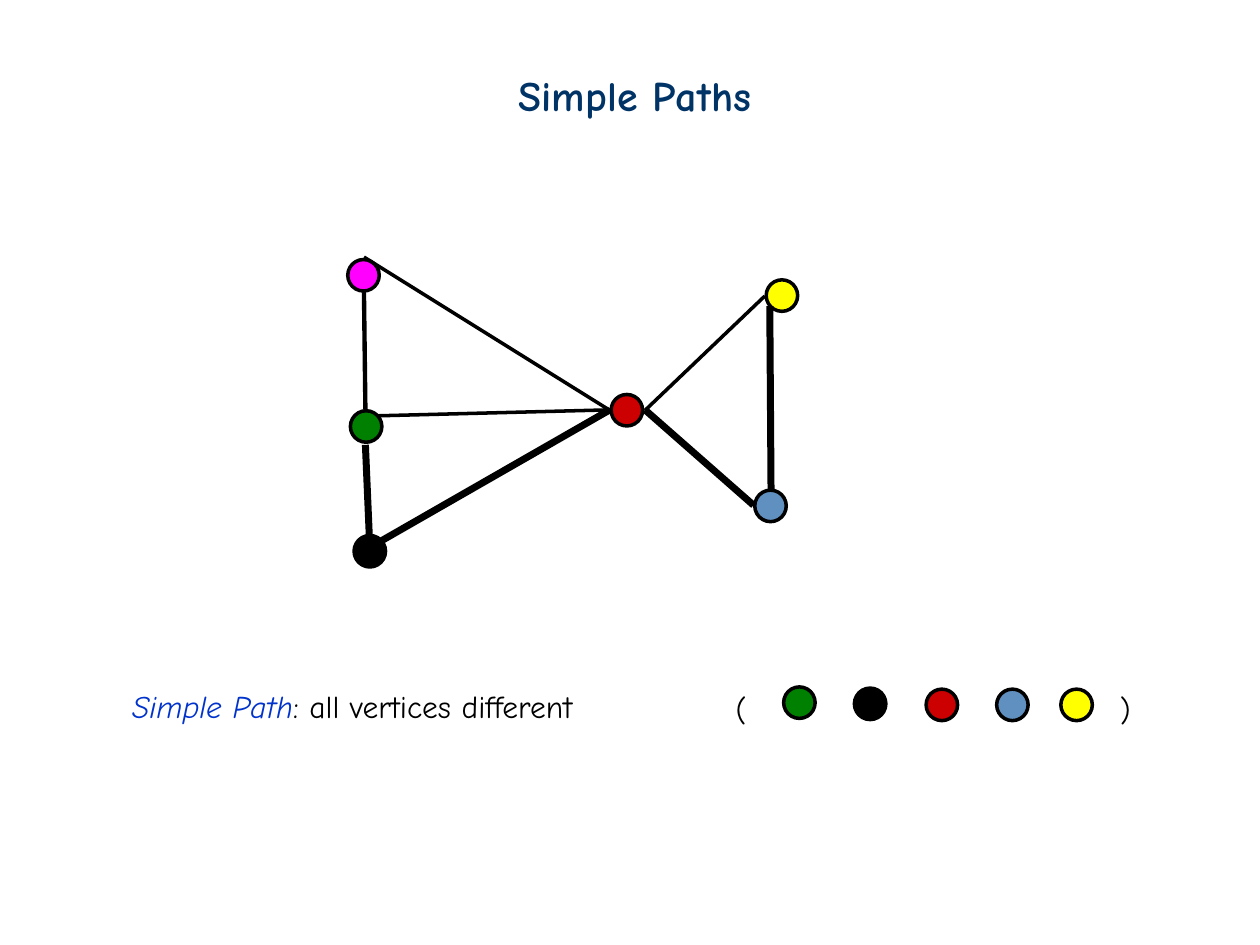
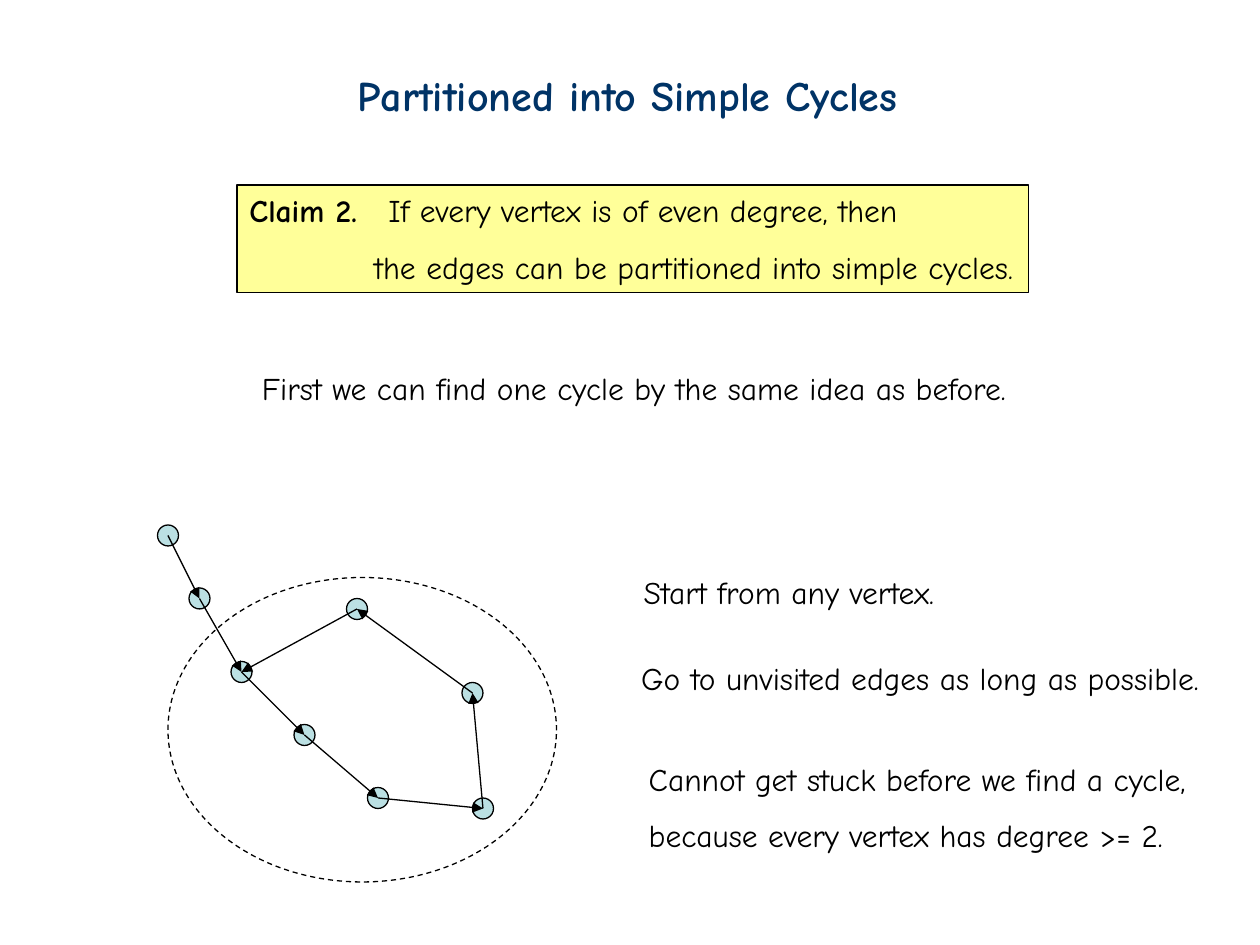
import pptx
import pptx.dml.color
import pptx.enum.dml
import pptx.enum.shapes
import pptx.enum.text
import pptx.oxml.ns
import pptx.util
from lxml import etree
from itertools import pairwise

Pt = pptx.util.Pt
qn = pptx.oxml.ns.qn
FONT = "Comic Neue"
COLORS = {
    "title": "003366", "term": "0033CC", "ink": "000000", "claim": "FFFF99",
    "vertex": "BBE0E3", "black": "000000", "red": "CC0000", "blue": "6090BF",
    "yellow": "FFFF00", "green": "008000", "magenta": "FF00FF",
}

GRAPH_VERTICES = {
    "yellow": (446.8, 168.9), "blue": (440.3, 289.1), "green": (209.2, 243.7),
    "magenta": (207.7, 157.3), "black": (211.3, 315), "red": (358.2, 234.4),
}
GRAPH_EDGES = [
    ((208.8, 254.2), (211, 305.3), 4),
    ((439.9, 175), (440.6, 279.4), 4),
    ((437, 169.2), (368.6, 234.5), 2),
    ((368.6, 234.2), (430.6, 288.7), 4),
    ((348.5, 234.2), (218.2, 308.9), 4),
    ((348.5, 234.5), (208, 146.9), 2),
    ((216, 237.6), (348.5, 234.2), 2),
    ((208, 167), (208.8, 234), 2.5),
]
PATH_VERTICES = {
    "green": (456.8, 401.5), "black": (497.2, 402.2), "red": (538.2, 402.8),
    "blue": (578.5, 402.8), "yellow": (615.2, 402.8),
}
WALK_VERTICES = [(96, 306), (114, 342), (138, 384), (174, 420),
                 (216, 456), (276, 462), (270, 396), (204, 348)]
CYCLE_START = 2


def rgb(name):
    return pptx.dml.color.RGBColor.from_string(COLORS[name])


def add_run(p, text, size=18, color="ink", bold=False, italic=False):
    r = p.add_run()
    r.text = text
    r.font.name = FONT
    r.font.size = Pt(size)
    r.font.color.rgb = rgb(color)
    r.font.bold = bold
    r.font.italic = italic


def add_box(s, x, y, w, h, wrap=False):
    sp = s.shapes.add_textbox(Pt(x), Pt(y), Pt(w), Pt(h))
    tf = sp.text_frame
    tf.word_wrap = wrap
    sizes = pptx.enum.text.MSO_AUTO_SIZE
    tf.auto_size = sizes.NONE if wrap else sizes.SHAPE_TO_FIT_TEXT
    return sp


def add_text(s, x, y, w, *lines):
    tf = add_box(s, x, y, w, 28.8 + 32.4 * (len(lines) - 1)).text_frame
    for i, line in enumerate(lines):
        p = tf.add_paragraph() if i else tf.paragraphs[0]
        if i:
            p.line_spacing = 1.5
        add_run(p, line)


def add_title(s, x, w, text):
    p = add_box(s, x, 36, w, 36).text_frame.paragraphs[0]
    add_run(p, text, 24, "title", bold=True)


def add_ellipse(s, center, w, h, fill, weight):
    x, y = center
    sp = s.shapes.add_shape(pptx.enum.shapes.MSO_SHAPE.OVAL,
                            Pt(x - w / 2), Pt(y - h / 2), Pt(w), Pt(h))
    sp.shadow.inherit = False
    if fill:
        sp.fill.solid()
        sp.fill.fore_color.rgb = rgb(fill)
    else:
        sp.fill.background()
    sp.line.color.rgb = rgb("ink")
    sp.line.width = Pt(weight)
    return sp


def add_edge(s, start, end, weight, arrow=False):
    sp = s.shapes.add_connector(pptx.enum.shapes.MSO_CONNECTOR.STRAIGHT,
                                *map(Pt, start + end))
    sp.line.color.rgb = rgb("ink")
    sp.line.width = Pt(weight)
    if arrow:
        etree.SubElement(sp.line._get_or_add_ln(), qn("a:tailEnd"), type="triangle")
    etree.SubElement(sp._element.spPr, qn("a:effectLst"))


def add_claim(s):
    sp = add_box(s, 135.4, 105.8, 452.2, 61.2, wrap=True)
    sp.fill.solid()
    sp.fill.fore_color.rgb = rgb("claim")
    sp.line.color.rgb = rgb("ink")
    sp.line.width = Pt(0.75)
    tf = sp.text_frame
    tf.margin_right = 0
    p = tf.paragraphs[0]
    tabs = etree.SubElement(p._p.get_or_add_pPr(), qn("a:tabLst"))
    etree.SubElement(tabs, qn("a:tab"), pos=str(Pt(79.4)), algn="l")
    add_run(p, "Claim 2.", bold=True)
    add_run(p, "\tIf every vertex is of even degree, then")
    p = tf.add_paragraph()
    p.line_spacing = 1.5
    pPr = p._p.get_or_add_pPr()
    pPr.set("marL", str(Pt(71.3)))
    pPr.set("indent", "0")
    add_run(p, "the edges can be partitioned into simple cycles.")


def simple_paths(s):
    p = add_box(s, 68.4, 388.8, 309.6, 37.4, wrap=True).text_frame.paragraphs[0]
    add_run(p, "Simple Path", color="term", italic=True)
    add_run(p, ": all vertices different")
    add_text(s, 413.3, 391, 20.2, "(")
    add_text(s, 632.9, 391, 20.2, ")")
    for vertices in (PATH_VERTICES, GRAPH_VERTICES):
        for color, center in vertices.items():
            add_ellipse(s, center, 18, 18, color, 2)
    for start, end, weight in GRAPH_EDGES:
        add_edge(s, start, end, weight)
    add_title(s, 289.4, 146.9, "Simple Paths")


def simple_cycles(s):
    add_title(s, 197.3, 323.3, "Partitioned into Simple Cycles")
    add_claim(s)
    add_text(s, 142.6, 207.4, 440.6,
             "First we can find one cycle by the same idea as before.")
    for center in WALK_VERTICES:
        add_ellipse(s, center, 12, 12, "vertex", 0.75)
    for start, end in pairwise(WALK_VERTICES + [WALK_VERTICES[CYCLE_START]]):
        add_edge(s, start, end, 0.75, arrow=True)
    sp = add_ellipse(s, (207, 417), 222, 174, None, 0.75)
    sp.line.dash_style = pptx.enum.dml.MSO_LINE.DASH
    add_text(s, 360.7, 324, 182.2, "Start from any vertex.")
    add_text(s, 359.3, 373, 334.1, "Go to unvisited edges as long as possible.")
    add_text(s, 363.6, 430.6, 322.6, "Cannot get stuck before we find a cycle,",
             "because every vertex has degree >= 2.")


def main():
    prs = pptx.Presentation()
    prs.slide_width, prs.slide_height = Pt(720), Pt(540)
    for build in (simple_paths, simple_cycles):
        build(prs.slides.add_slide(prs.slide_layouts[6]))
    prs.save("out.pptx")


if __name__ == "__main__":
    main()
